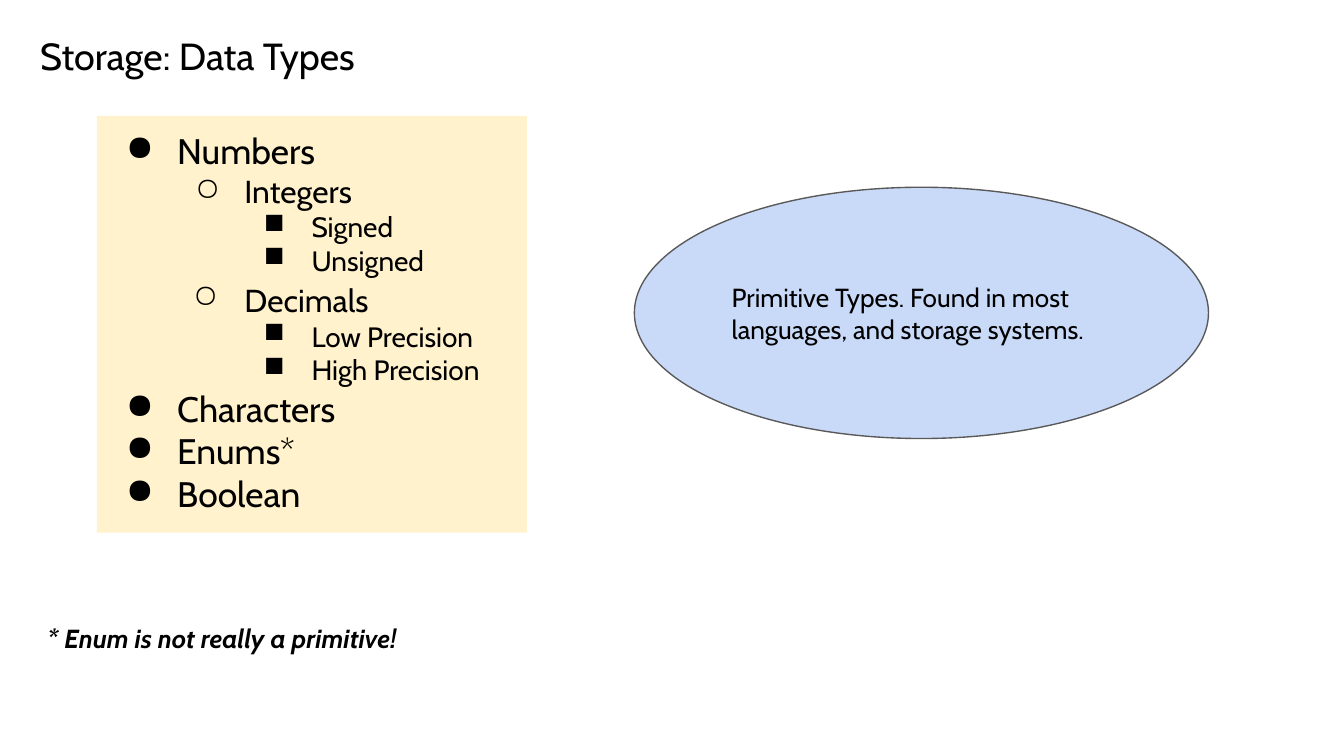
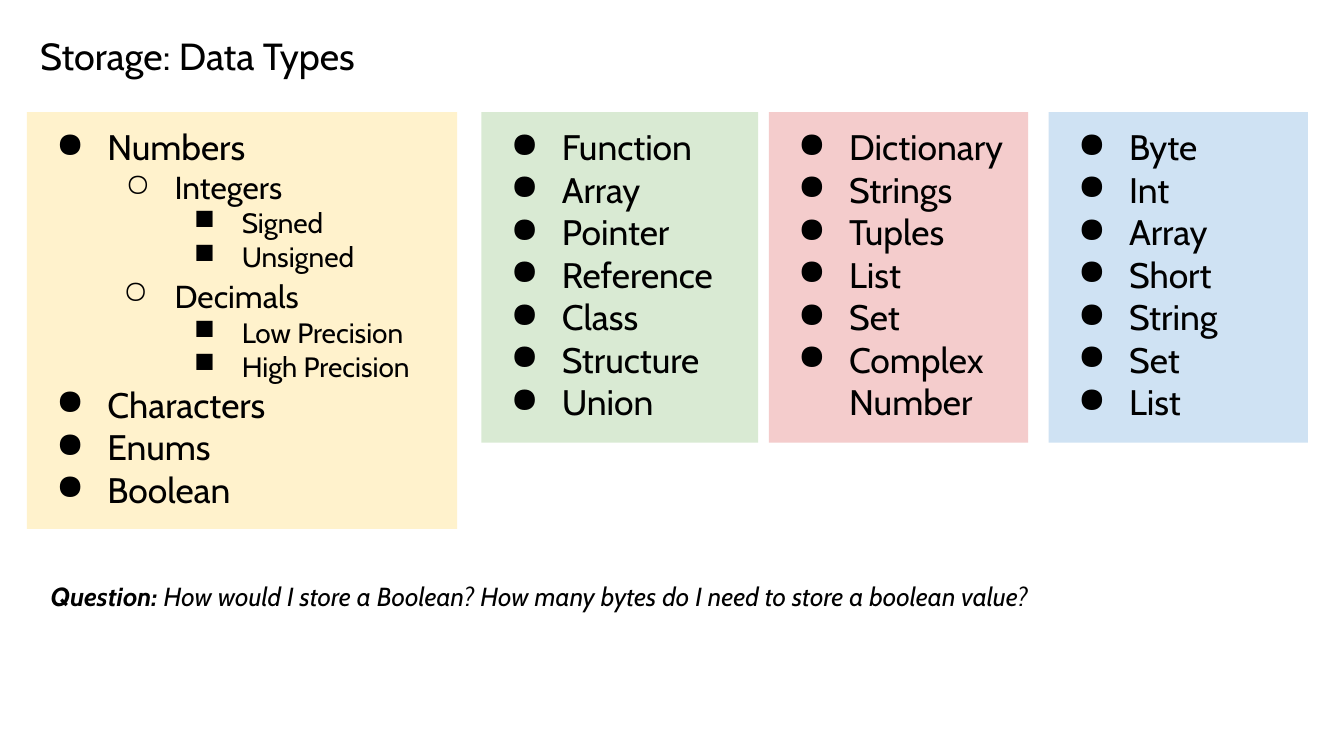
from dataclasses import dataclass
from typing import NamedTuple

from lxml import etree
from pptx import Presentation
from pptx import util as u
from pptx.dml import color
from pptx.enum import shapes, text
from pptx.oxml import ns


@dataclass(frozen=True)
class Theme:
    font: str = "Cabin"
    ink: str = "000000"
    edge: str = "595959"
    cream: str = "FFF2CC"
    green: str = "D9EAD3"
    pink: str = "F4CCCC"
    blue: str = "CFE2F3"
    oval: str = "C9DAF8"
    title: float = 20.2
    body: float = 14
    sizes: tuple = (19, 17, 15)
    marks: str = "●○■"
    hangs: tuple = (0.97, 0.93, 0.9)
    step: float = 1.27
    inset: float = 0.25


class Box(NamedTuple):
    left: float
    top: float
    width: float
    height: float


class Run(NamedTuple):
    words: str
    size: float
    bold: bool = False


class Item(NamedTuple):
    words: str
    level: int = 0
    tail: bool = False


class Panel(NamedTuple):
    box: Box
    fill: str
    items: list[Item]


THEME = Theme()
TITLE = Box(0.51, 0.43, 23.67, 1.3)


def rgb(code: str) -> color.RGBColor:
    return color.RGBColor.from_string(code)


def place(box: Box) -> list[u.Length]:
    return [u.Cm(side) for side in box]


def set_mark(para, level: int, hang: float) -> None:
    props = para._p.get_or_add_pPr()
    props.set("marL", str(u.Cm(THEME.step * (level + 1))))
    props.set("indent", str(-u.Cm(hang)))
    tint = etree.SubElement(props, ns.qn("a:buClr"))
    etree.SubElement(tint, ns.qn("a:srgbClr"), val=THEME.ink)
    etree.SubElement(props, ns.qn("a:buChar"), char=THEME.marks[level])


def add_runs(para, runs: list[Run], italic: bool = False) -> None:
    para.alignment = text.PP_ALIGN.LEFT
    for part in runs:
        run = para.add_run()
        run.text = part.words
        font = run.font
        font.name = THEME.font
        font.size = u.Pt(part.size)
        font.bold = part.bold
        font.italic = italic
        font.color.rgb = rgb(THEME.ink)


def set_frame(shape, anchor=text.MSO_ANCHOR.TOP):
    frame = shape.text_frame
    frame.word_wrap = True
    frame.vertical_anchor = anchor
    frame.margin_left = frame.margin_right = u.Cm(THEME.inset)
    frame.margin_top = frame.margin_bottom = u.Cm(THEME.inset)
    return frame


def add_text(slide, box: Box, *runs: Run, italic: bool = False,
             anchor=text.MSO_ANCHOR.TOP) -> None:
    frame = set_frame(slide.shapes.add_textbox(*place(box)), anchor)
    add_runs(frame.paragraphs[0], list(runs), italic)


def add_form(slide, kind, box: Box, fill: str, edge: str = ""):
    form = slide.shapes.add_shape(kind, *place(box))
    form.shadow.inherit = False
    form.fill.solid()
    form.fill.fore_color.rgb = rgb(fill)
    if edge:
        form.line.color.rgb = rgb(edge)
        form.line.width = u.Pt(0.75)
    else:
        form.line.fill.background()
    return form


def add_panel(slide, panel: Panel) -> None:
    form = add_form(slide, shapes.MSO_SHAPE.RECTANGLE, panel.box, panel.fill)
    frame = set_frame(form)
    for order, item in enumerate(panel.items):
        para = frame.add_paragraph() if order else frame.paragraphs[0]
        para.level = item.level
        hang = THEME.hangs[0 if item.tail else item.level]
        set_mark(para, item.level, hang)
        runs = [Run(item.words, THEME.sizes[item.level])]
        if item.tail:
            runs.append(Run(" ", THEME.sizes[0]))
        add_runs(para, runs)


def list_basics(enum: str) -> list[Item]:
    return [
        Item("Numbers"),
        Item("Integers", 1),
        Item("Signed", 2),
        Item("Unsigned", 2),
        Item("Decimals", 1, tail=True),
        Item("Low Precision", 2),
        Item("High Precision", 2),
        Item("Characters"),
        Item(enum),
        Item("Boolean"),
    ]


def list_flat(*words: str) -> list[Item]:
    return [Item(word) for word in words]


def add_slide(deck):
    slide = deck.slides.add_slide(deck.slide_layouts[6])
    add_text(slide, TITLE, Run("Storage: Data Types", THEME.title),
             anchor=text.MSO_ANCHOR.BOTTOM)
    return slide


def draw_basics(deck) -> None:
    slide = add_slide(deck)
    add_panel(slide, Panel(Box(1.83, 2.19, 8.13, 7.88), THEME.cream,
                           list_basics("Enums*")))
    add_text(slide, Box(0.64, 11.51, 23.98, 1.42),
             Run("* Enum is not really a primitive!", THEME.body, True),
             italic=True)
    oval = add_form(slide, shapes.MSO_SHAPE.OVAL,
                    Box(11.99, 3.54, 10.85, 4.75), THEME.oval, THEME.edge)
    frame = set_frame(oval, text.MSO_ANCHOR.MIDDLE)
    words = "Primitive Types. Found in most languages, and storage systems."
    add_runs(frame.paragraphs[0], [Run(words, THEME.body)])


def draw_types(deck) -> None:
    slide = add_slide(deck)
    top, height = 2.12, 6.25
    panels = [
        Panel(Box(0.51, top, 8.13, 7.88), THEME.cream, list_basics("Enums")),
        Panel(Box(9.1, top, 5.23, height), THEME.green,
              list_flat("Function", "Array", "Pointer", "Reference",
                        "Class", "Structure", "Union")),
        Panel(Box(14.53, top, 4.9, height), THEME.pink,
              list_flat("Dictionary", "Strings", "Tuples", "List", "Set",
                        "Complex Number")),
        Panel(Box(19.82, top, 4.9, height), THEME.blue,
              list_flat("Byte", "Int", "Array", "Short", "String", "Set",
                        "List")),
    ]
    for panel in panels:
        add_panel(slide, panel)
    add_text(slide, Box(0.71, 10.72, 23.98, 2.84),
             Run("Question:", THEME.body, True),
             Run(" How would I store a Boolean? How many bytes do I need "
                 "to store a boolean value?", THEME.body),
             italic=True)


def main() -> None:
    deck = Presentation()
    deck.slide_width = u.Cm(25.4)
    deck.slide_height = u.Cm(14.29)
    draw_basics(deck)
    draw_types(deck)
    deck.save("out.pptx")


if __name__ == "__main__":
    main()
